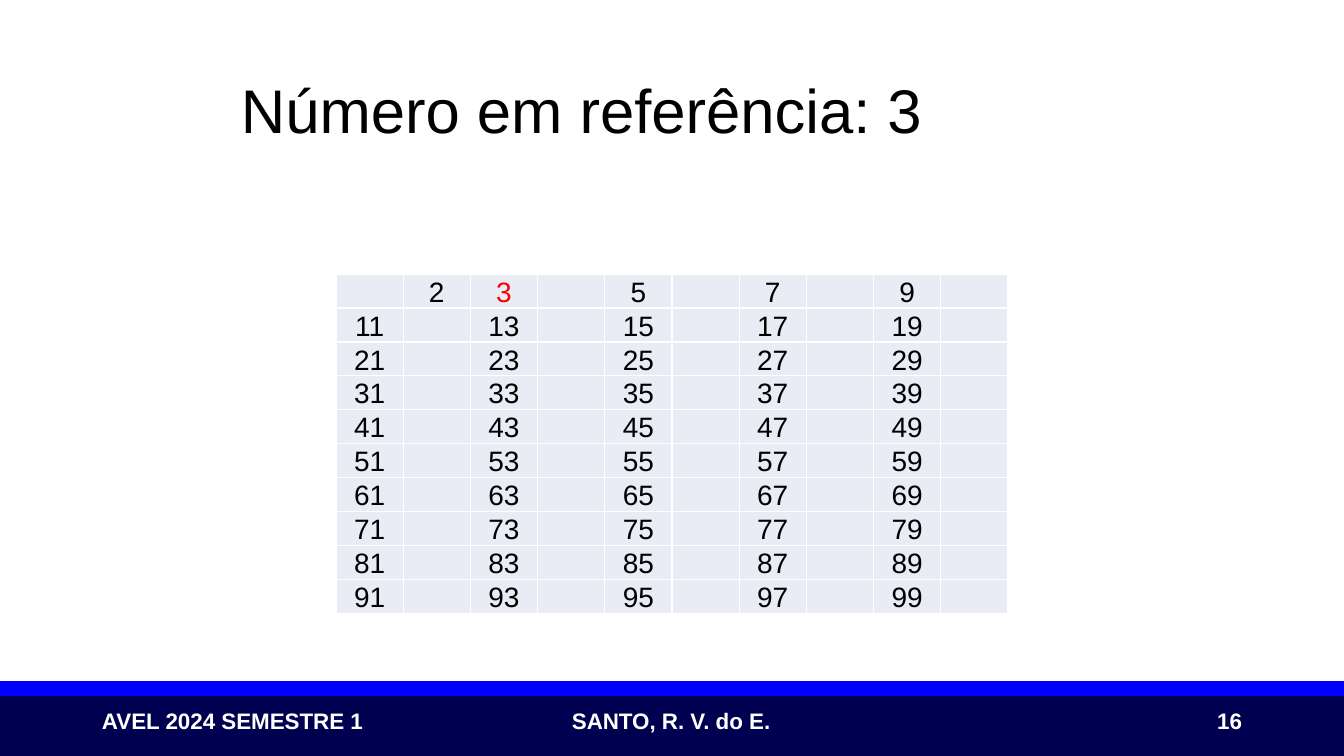
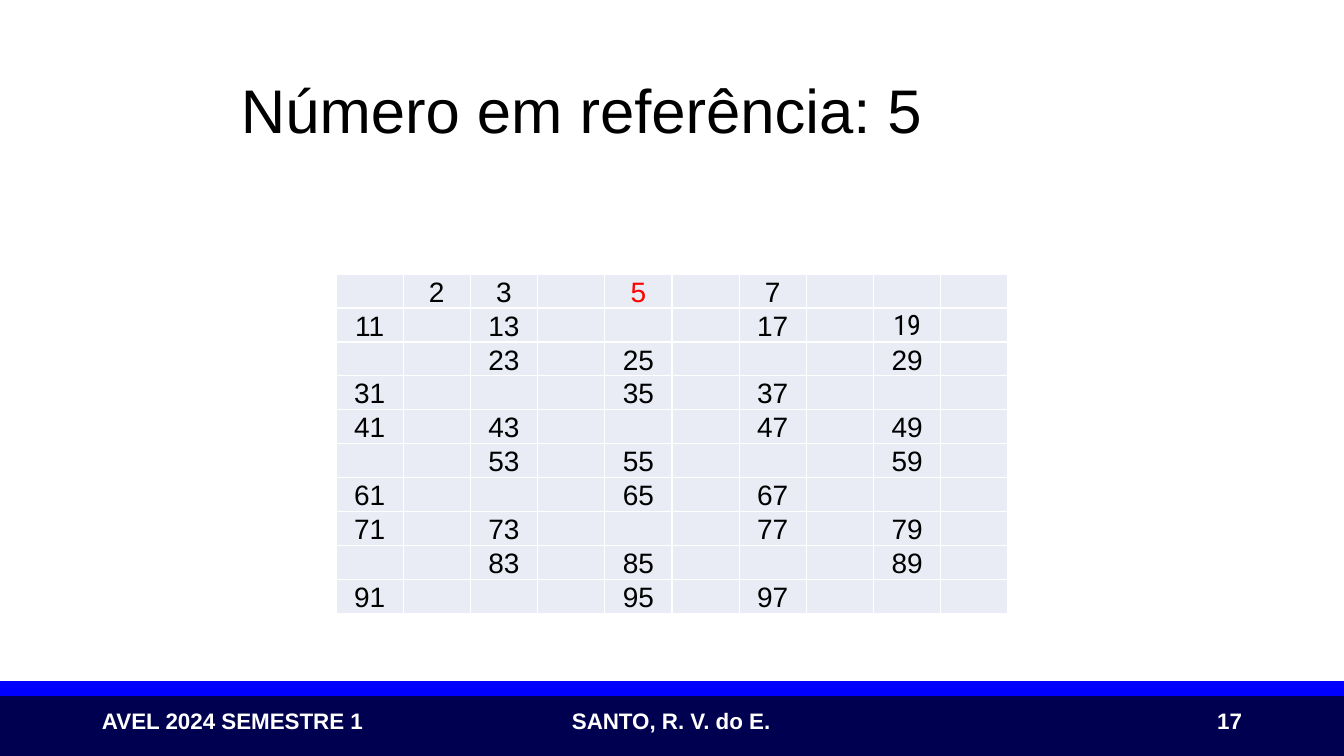
from lxml import etree
from pptx import Presentation
from pptx import util as u
from pptx.dml import color
from pptx.enum import shapes, text
from pptx.oxml import ns

PX = 914400 / 100.8
W, H = 1344, 756
NAVY, BLUE, WHITE, BLACK, RED, PALE = "000050", "0000FF", "FFFFFF", "000000", "FF0000", "E9EBF5"
FONT, NARROW = "Arial", "Roboto Condensed"
SIZE = 10
FOOTER = dict(size=16, fill=WHITE, bold=True)


def px(n):
    return u.Emu(round(n * PX))


def rgb(value):
    return color.RGBColor.from_string(value)


def write(tf, content, size=20, font=FONT, fill=BLACK, bold=False,
          align=text.PP_ALIGN.LEFT, spacing=1.0):
    p = tf.paragraphs[0]
    p.alignment = align
    p.line_spacing = spacing
    r = p.add_run()
    r.text = content
    r.font.size = u.Pt(size)
    r.font.name = font
    r.font.bold = bold
    r.font.color.rgb = rgb(fill)


def add_text(s, box, content, wrap=True, anchor=text.MSO_ANCHOR.TOP, **style):
    tf = s.shapes.add_textbox(*map(px, box)).text_frame
    tf.word_wrap = wrap
    tf.vertical_anchor = anchor
    write(tf, content, **style)


def add_band(s, top, height, fill):
    sp = s.shapes.add_shape(shapes.MSO_SHAPE.RECTANGLE, *map(px, (0, top, W, height)))
    sp.shadow.inherit = False
    sp.fill.solid()
    sp.fill.fore_color.rgb = rgb(fill)
    sp.line.color.rgb = rgb(fill)
    sp.line.width = u.Pt(1)


def add_borders(cell, fill):
    tc_pr = cell._tc.get_or_add_tcPr()
    for i, side in enumerate(("lnL", "lnR", "lnT", "lnB")):
        ln = etree.Element(ns.qn(f"a:{side}"), w=str(u.Pt(1)))
        solid = etree.SubElement(ln, ns.qn("a:solidFill"))
        etree.SubElement(solid, ns.qn("a:srgbClr"), val=fill)
        tc_pr.insert(i, ln)


def survives(n, sieved):
    return n > 1 and all(n == k or n % k for k in sieved)


def add_sieve(s, sieved, reference, narrow):
    table = s.shapes.add_table(SIZE, SIZE, *map(px, (336, 274, 672, 340))).table
    table.first_row = table.horz_banding = False
    for n, cell in enumerate(table.iter_cells(), 1):
        cell.margin_left = cell.margin_right = px(1)
        cell.margin_top = cell.margin_bottom = 0
        cell.vertical_anchor = text.MSO_ANCHOR.BOTTOM
        cell.fill.solid()
        cell.fill.fore_color.rgb = rgb(PALE)
        add_borders(cell, WHITE)
        if survives(n, sieved):
            write(cell.text_frame, str(n), align=text.PP_ALIGN.CENTER,
                  fill=RED if n == reference else BLACK,
                  font=NARROW if n in narrow else FONT)


def add_frame(s, title, number):
    add_band(s, 696, 60, NAVY)
    add_band(s, 682, 13, BLUE)
    add_text(s, (92, 702, 291, 37), "AVEL 2024 SEMESTRE 1", wrap=False, **FOOTER)
    add_text(s, (562, 702, 222, 37), "SANTO, R. V. do E.", wrap=False, **FOOTER)
    add_text(s, (231, 41, 1020, 146), title, anchor=text.MSO_ANCHOR.MIDDLE,
             size=44, spacing=0.9)
    add_text(s, (950, 701, 302, 40), str(number), anchor=text.MSO_ANCHOR.MIDDLE,
             align=text.PP_ALIGN.RIGHT, **FOOTER)


def main():
    prs = Presentation()
    prs.slide_width, prs.slide_height = px(W), px(H)
    steps = [(16, 3, (2,), ()), (17, 5, (2, 3), (19,))]
    for number, reference, sieved, narrow in steps:
        s = prs.slides.add_slide(prs.slide_layouts[6])
        add_frame(s, f"Número em referência: {reference}", number)
        add_sieve(s, sieved, reference, narrow)
    prs.save("out.pptx")


if __name__ == "__main__":
    main()
